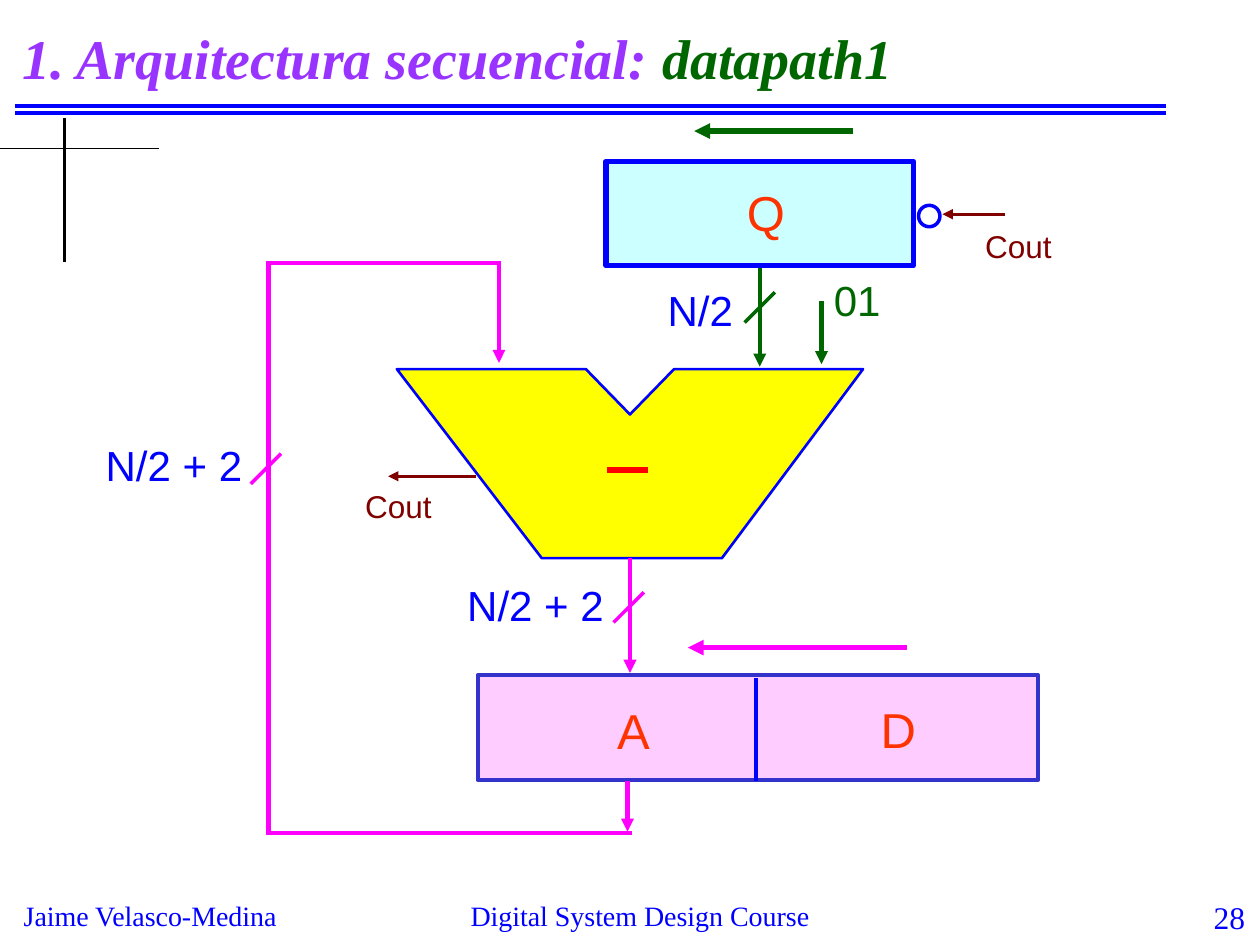
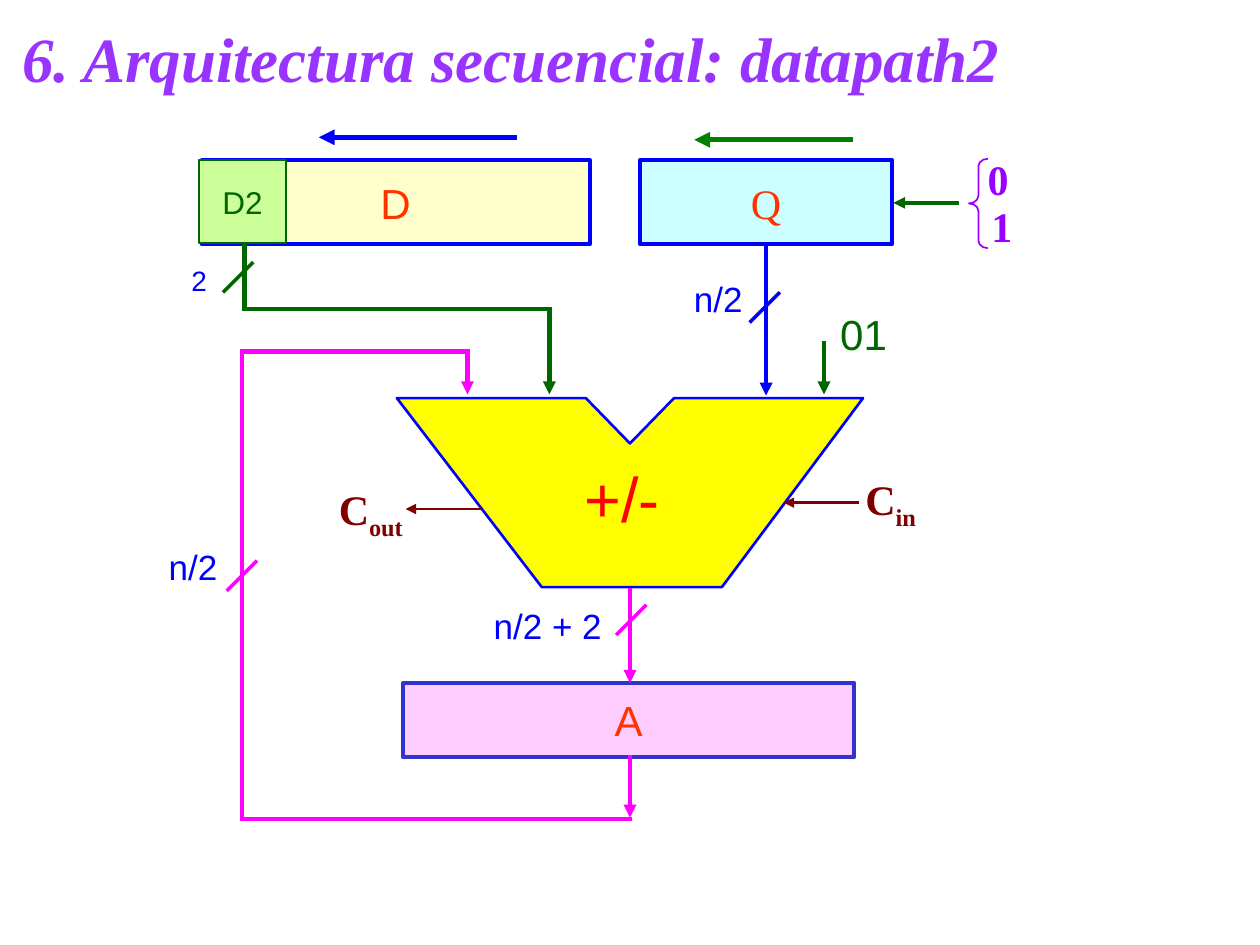
"""Build two slides showing the sequential datapath architectures."""
from dataclasses import dataclass
from itertools import pairwise

from lxml.etree import SubElement
from pptx import Presentation
from pptx.dml.color import RGBColor
from pptx.enum.shapes import MSO_CONNECTOR, MSO_SHAPE
from pptx.enum.text import MSO_ANCHOR, PP_ALIGN
from pptx.oxml.ns import qn
from pptx.util import Inches, Pt

SANS = "Arial"
SERIF = "Times New Roman"
COLORS = {
    "blue": "0000FF", "indigo": "3333CC", "magenta": "FF00FF", "green": "006600",
    "leaf": "008000", "maroon": "800000", "orange": "FF3300", "red": "FF0000",
    "title": "9933FF", "violet": "9900FF", "yellow": "FFFF00", "pink": "FFCCFF",
    "cyan": "CCFFFF", "cream": "FFFFCC", "lime": "CCFF99", "white": "FFFFFF",
    "black": "000000",
}
ALU_OUTLINE = [(0, 0), (1.5, 0), (1.85, 0.36), (2.2, 0), (3.7, 0), (2.58, 1.5), (1.15, 1.5)]
ALU_LEFT = 3.15


@dataclass
class Span:
    text: str
    color: str
    size: float
    font: str = SANS
    bold: bool = False
    italic: bool = False
    subscript: bool = False


@dataclass
class Label:
    left: float
    top: float
    width: float
    height: float
    spans: list[Span]
    align: PP_ALIGN = PP_ALIGN.LEFT
    anchor: MSO_ANCHOR = MSO_ANCHOR.TOP


@dataclass
class Register:
    left: float
    top: float
    width: float
    height: float
    fill: str
    line: str
    weight: float = 2.25
    name: Span | None = None
    kind: MSO_SHAPE = MSO_SHAPE.RECTANGLE


@dataclass
class Wire:
    route: list[tuple[float, float]]
    color: str
    weight: float = 2.5
    arrow: bool = True


def rgb(name: str) -> RGBColor:
    """Look up a palette colour."""
    return RGBColor.from_string(COLORS[name])


def write_spans(frame, spans: list[Span], align: PP_ALIGN) -> None:
    """Write styled runs into the first paragraph of a text frame."""
    para = frame.paragraphs[0]
    para.alignment = align
    for item in spans:
        span = para.add_run()
        span.text = item.text
        span.font.name = item.font
        span.font.size = Pt(item.size)
        span.font.bold = item.bold
        span.font.italic = item.italic
        span.font.color.rgb = rgb(item.color)
        if item.subscript:
            span._r.get_or_add_rPr().set("baseline", "-25000")


def add_label(page, label: Label) -> None:
    """Add a text box."""
    box = page.shapes.add_textbox(
        Inches(label.left), Inches(label.top), Inches(label.width), Inches(label.height))
    box.text_frame.word_wrap = True
    box.text_frame.vertical_anchor = label.anchor
    write_spans(box.text_frame, label.spans, label.align)


def paint(shape, fill: str, line: str, weight: float) -> None:
    """Give a shape a flat fill and outline."""
    shape.shadow.inherit = False
    shape.fill.solid()
    shape.fill.fore_color.rgb = rgb(fill)
    shape.line.color.rgb = rgb(line)
    shape.line.width = Pt(weight)


def add_register(page, register: Register) -> None:
    """Add a register block with an optional centred name."""
    shape = page.shapes.add_shape(
        register.kind, Inches(register.left), Inches(register.top),
        Inches(register.width), Inches(register.height))
    paint(shape, register.fill, register.line, register.weight)
    if register.name:
        shape.text_frame.vertical_anchor = MSO_ANCHOR.MIDDLE
        write_spans(shape.text_frame, [register.name], PP_ALIGN.CENTER)


def add_alu(page, top: float) -> None:
    """Add the notched arithmetic unit."""
    points = [(Inches(ALU_LEFT + x), Inches(top + y)) for x, y in ALU_OUTLINE]
    builder = page.shapes.build_freeform(*points[0])
    builder.add_line_segments(points[1:], close=True)
    paint(builder.convert_to_shape(), "yellow", "blue", 1.5)


def add_wire(page, wire: Wire) -> None:
    """Draw each leg of a wire, with the arrowhead on the last one."""
    legs = list(pairwise(wire.route))
    for number, (start, end) in enumerate(legs, 1):
        leg = page.shapes.add_connector(
            MSO_CONNECTOR.STRAIGHT, *(Inches(value) for value in (*start, *end)))
        leg.line.color.rgb = rgb(wire.color)
        leg.line.width = Pt(wire.weight)
        outline = leg.line._get_or_add_ln()
        if len(legs) > 1:
            outline.set("cap", "sq")
        if wire.arrow and number == len(legs):
            SubElement(outline, qn("a:tailEnd"), type="triangle")
        SubElement(leg._element.spPr, qn("a:effectLst"))


def bus_slash(x: float, y: float, color: str) -> Wire:
    """Return the slash marking a bus, centred on a point."""
    return Wire([(x - 0.12, y + 0.12), (x + 0.12, y - 0.12)], color, 2, False)


def bus_label(left: float, top: float, text: str, size: float = 24, color: str = "blue") -> Label:
    """Return a plain label for a bus or signal."""
    return Label(left, top, 1.6, 0.5, [Span(text, color, size)])


def carry_label(left: float, top: float, suffix: str) -> Label:
    """Return a carry name with its subscript."""
    return Label(left, top, 0.95, 0.56, [
        Span("C", "maroon", 24, SERIF, True),
        Span(suffix, "maroon", 24, SERIF, True, subscript=True)])


def add_title(page, size: float, *parts: tuple[str, str]) -> None:
    """Add the slide title from text and colour pairs."""
    spans = [Span(text, color, size, SERIF, True, True) for text, color in parts]
    add_label(page, Label(0.08, 0.08, 9.17, 0.75, spans, anchor=MSO_ANCHOR.MIDDLE))


def add_course_frame(page, number: str) -> None:
    """Add the title rules, corner cross and footer."""
    for y in (0.84, 0.9):
        add_wire(page, Wire([(0.12, y), (9.25, y)], "blue", 2.25, False))
    add_wire(page, Wire([(0.51, 0.94), (0.51, 2.08)], "black", 1.5, False))
    add_wire(page, Wire([(0, 1.18), (1.26, 1.18)], "black", 0.75, False))
    for left, width, text, size, align in (
        (0.09, 2.5, "Jaime Velasco-Medina", 16, PP_ALIGN.LEFT),
        (3.33, 3.5, "Digital System Design Course", 16, PP_ALIGN.CENTER),
        (9.29, 0.69, number, 18, PP_ALIGN.RIGHT),
    ):
        add_label(page, Label(left, 7.08, width, 0.35, [Span(text, "blue", size, SERIF)], align))


def add_diagram(page, alu_top: float, registers: list[Register],
                wires: list[Wire], labels: list[Label]) -> None:
    """Draw a datapath from its parts."""
    add_alu(page, alu_top)
    for register in registers:
        add_register(page, register)
    for wire in wires:
        add_wire(page, wire)
    for label in labels:
        add_label(page, label)


def build_datapath1(page) -> None:
    """Draw the subtracting datapath."""
    add_course_frame(page, "28")
    add_title(page, 32, ("1. Arquitectura secuencial: ", "title"), ("datapath1", "green"))
    registers = [
        Register(3.79, 5.36, 4.45, 0.83, "pink", "indigo"),
        Register(4.81, 1.28, 2.44, 0.83, "cyan", "blue", 3),
        Register(7.29, 1.63, 0.17, 0.17, "white", "blue", 2, kind=MSO_SHAPE.OVAL),
    ]
    wires = [
        Wire([(5, 6.61), (2.13, 6.61), (2.13, 2.09), (3.96, 2.09), (3.96, 2.88)], "magenta"),
        Wire([(5, 4.43), (5, 5.34)], "magenta"),
        Wire([(4.98, 6.2), (4.98, 6.6)], "magenta"),
        Wire([(6.03, 2.13), (6.03, 2.91)], "green"),
        Wire([(6.52, 2.39), (6.52, 2.89)], "green"),
        Wire([(7.98, 1.7), (7.48, 1.7)], "maroon", 1.5),
        Wire([(3.78, 3.78), (3.08, 3.78)], "maroon", 1.5),
        Wire([(6.77, 1.04), (5.51, 1.04)], "green", 3),
        Wire([(7.2, 5.14), (5.46, 5.14)], "magenta", 3),
        Wire([(6, 5.38), (6, 6.2)], "blue", 2.25, False),
        Wire([(5.14, 3.73), (4.82, 3.73)], "red", 3, False),
        bus_slash(2.11, 3.72, "magenta"),
        bus_slash(6.03, 2.44, "green"),
        bus_slash(4.99, 4.82, "magenta"),
    ]
    labels = [
        bus_label(5.2, 2.21, "N/2"),
        bus_label(3.61, 4.55, "N/2 + 2"),
        bus_label(0.74, 3.44, "N/2 + 2"),
        bus_label(6.52, 2.13, "01", color="green"),
        bus_label(7.72, 1.75, "Cout", 18, "maroon"),
        bus_label(2.8, 3.82, "Cout", 18, "maroon"),
        bus_label(4.8, 5.51, "A", 28, "orange"),
        bus_label(6.89, 5.5, "D", 28, "orange"),
        bus_label(5.83, 1.4, "Q", 28, "orange"),
    ]
    add_diagram(page, 2.93, registers, wires, labels)


def add_input_choice(page) -> None:
    """Add the brace grouping the bits that can enter Q."""
    brace = page.shapes.add_shape(
        MSO_SHAPE.LEFT_BRACE, Inches(7.69), Inches(1.26), Inches(0.15), Inches(0.71))
    brace.adjustments[0] = 0.4
    brace.shadow.inherit = False
    brace.fill.background()
    brace.line.color.rgb = rgb("violet")
    brace.line.width = Pt(1)
    for left, top, bit in ((7.74, 1.17, "0"), (7.77, 1.54, "1")):
        add_label(page, Label(left, top, 0.4, 0.5, [Span(bit, "violet", 24, SERIF, True)]))


def build_datapath2(page) -> None:
    """Draw the adding and subtracting datapath."""
    add_title(page, 36, ("6. Arquitectura secuencial: datapath2", "title"))
    registers = [
        Register(3.2, 5.42, 3.58, 0.59, "pink", "indigo", name=Span("A", "orange", 24)),
        Register(5.08, 1.27, 2, 0.67, "cyan", "blue", name=Span("Q", "orange", 24, SERIF)),
        Register(1.6, 1.27, 3.08, 0.67, "cream", "blue", name=Span("D", "orange", 24)),
        Register(1.58, 1.27, 0.69, 0.66, "lime", "green", 1.5, Span("D2", "green", 18)),
    ]
    wires = [
        Wire([(5, 6.5), (1.92, 6.5), (1.92, 2.79), (3.71, 2.79), (3.71, 3.13)], "magenta"),
        Wire([(5, 4.67), (5, 5.42)], "magenta"),
        Wire([(5, 5.99), (5, 6.49)], "magenta"),
        Wire([(1.94, 1.95), (1.94, 2.45), (4.36, 2.45), (4.36, 3.13)], "green"),
        Wire([(6.54, 2.71), (6.54, 3.13)], "green"),
        Wire([(6.08, 1.94), (6.08, 3.14)], "blue"),
        Wire([(7.61, 1.61), (7.09, 1.61)], "green", 2.25),
        Wire([(3.82, 4.04), (3.22, 4.04)], "maroon", 1.5),
        Wire([(6.82, 3.99), (6.22, 3.99)], "maroon", 1.5),
        Wire([(4.1, 1.09), (2.53, 1.09)], "blue", 3),
        Wire([(6.77, 1.11), (5.51, 1.11)], "leaf", 3),
        bus_slash(1.89, 2.2, "green"),
        bus_slash(1.92, 4.57, "magenta"),
        bus_slash(5.01, 4.92, "magenta"),
        bus_slash(6.07, 2.44, "blue"),
    ]
    labels = [
        bus_label(3.82, 4.75, "n/2 + 2", 20),
        bus_label(1.24, 4.28, "n/2", 20),
        bus_label(5.41, 2.15, "n/2", 20),
        bus_label(1.42, 2.04, "2", 16),
        bus_label(6.57, 2.4, "01", color="green"),
        bus_label(4.54, 3.6, "+/-", 36, "red"),
        carry_label(6.77, 3.71, "in"),
        carry_label(2.59, 3.79, "out"),
    ]
    add_diagram(page, 3.16, registers, wires, labels)
    add_input_choice(page)


def main() -> None:
    """Build and save the deck."""
    deck = Presentation()
    deck.slide_width, deck.slide_height = Inches(10), Inches(7.5)
    for build in (build_datapath1, build_datapath2):
        build(deck.slides.add_slide(deck.slide_layouts[6]))
    deck.save("out.pptx")


if __name__ == "__main__":
    main()
